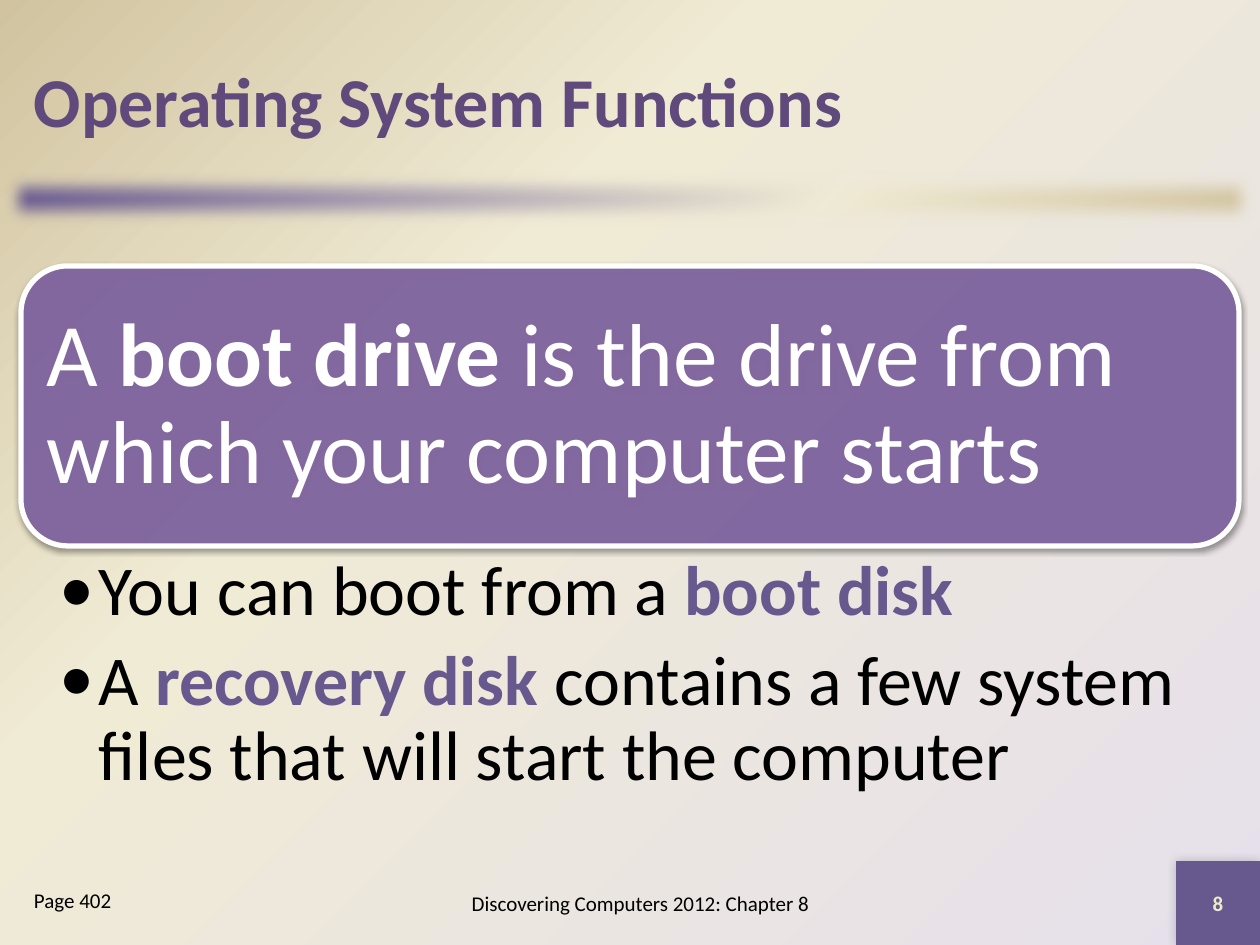
from dataclasses import dataclass

from lxml.etree import SubElement
from pptx import Presentation
from pptx.dml.color import RGBColor
from pptx.enum.shapes import MSO_SHAPE as Kind
from pptx.enum.text import MSO_ANCHOR as Anchor, PP_ALIGN as Align
from pptx.oxml.ns import qn
from pptx.util import Emu, Pt

PX = 914400 / 126
HUES = {
    "bar": "67588E", "cream": "F0EBD5", "sand": "D1C39F", "haze": "E6E0EC",
    "title": "604A7B", "card": "8064A2", "white": "FFFFFF",
    "black": "000000", "number": "EEEBCA",
}


@dataclass
class Box:
    x: int
    y: int
    w: int
    h: int


@dataclass
class Run:
    text: str
    hue: str = "black"
    bold: bool = False


@dataclass
class Label:
    box: Box
    run: Run
    size: int
    anchor: Anchor = Anchor.MIDDLE
    align: Align = Align.LEFT


def px(n: int) -> Emu:
    return Emu(round(n * PX))


def rgb(hue: str) -> RGBColor:
    return RGBColor.from_string(HUES[hue])


def node(root, tag: str, **attrs):
    return SubElement(root, qn(tag), {k: str(v) for k, v in attrs.items()})


def blend(fill, root, first: str):
    """Three-stop gradient; returns its element, ready for a direction."""
    fill.gradient()
    grad = next(root.iter(qn("a:gradFill")))
    for kid in list(grad):
        grad.remove(kid)
    stops = node(grad, "a:gsLst")
    for pos, hue in ((0, first), (65, "cream"), (100, "sand")):
        stop = node(stops, "a:gs", pos=pos * 1000)
        node(stop, "a:srgbClr", val=HUES[hue])
    return grad


def block(slide, kind: Kind, box: Box):
    shape = slide.shapes.add_shape(kind, px(box.x), px(box.y), px(box.w), px(box.h))
    shape.shadow.inherit = False
    shape.line.fill.background()
    return shape


def shade(shape, alpha: int, blur: float, dist: float, angle: int) -> None:
    effects = shape._element.spPr.find(qn("a:effectLst"))
    cast = node(effects, "a:outerShdw", blurRad=Pt(blur), dist=Pt(dist),
                dir=angle * 60000, algn="ctr", rotWithShape=0)
    hue = node(cast, "a:srgbClr", val=HUES["black"])
    node(hue, "a:alpha", val=alpha * 1000)


def frame(shape, anchor: Anchor, pads=(13, 6, 13, 6)):
    text = shape.text_frame
    text.word_wrap = True
    text.vertical_anchor = anchor
    text.margin_left, text.margin_top, text.margin_right, text.margin_bottom = map(px, pads)
    return text


def write(para, runs: list[Run], size: int, align: Align = Align.LEFT) -> None:
    para.alignment = align
    para.font.name, para.font.size = "Calibri", Pt(size)
    if len(runs) == 1:
        para.font.bold, para.font.color.rgb = runs[0].bold, rgb(runs[0].hue)
    for item in runs:
        run = para.add_run()
        run.text = item.text
        if len(runs) > 1:
            run.font.bold, run.font.color.rgb = item.bold, rgb(item.hue)


def bullet(para, indent: int) -> None:
    props = para._p.get_or_add_pPr()
    props.set("marL", str(px(indent)))
    props.set("indent", str(-px(indent)))
    para.line_spacing = 0.9
    para.space_after = Pt(8)
    node(props, "a:buFont", typeface="Calibri")
    node(props, "a:buChar", char="•")


def area(slide, box: Box):
    return slide.shapes.add_textbox(px(box.x), px(box.y), px(box.w), px(box.h))


def main() -> None:
    deck = Presentation()
    deck.slide_width, deck.slide_height = px(1260), px(945)
    slide = deck.slides.add_slide(deck.slide_layouts[6])

    # Background
    grad = blend(slide.background.fill, slide._element, "haze")
    way = node(grad, "a:path", path="circle")
    node(way, "a:fillToRect", l=100000, t=100000)

    # Soft bar under the title
    bar = block(slide, Kind.RECTANGLE, Box(0, 168, 1260, 63))
    grad = blend(bar.fill, bar._element, "bar")
    node(grad, "a:lin", ang=45 * 60000, scaled=0)
    node(bar._element.spPr.find(qn("a:effectLst")), "a:softEdge", rad=Pt(10))

    # Slide number
    tile = block(slide, Kind.RECTANGLE, Box(1176, 861, 84, 84))
    tile.fill.solid()
    tile.fill.fore_color.rgb = rgb("bar")
    shade(tile, 20, 6, 0, 225)
    text = frame(tile, Anchor.MIDDLE)
    write(text.paragraphs[0], [Run("8", "number", True)], 12, Align.CENTER)

    # Card
    card = block(slide, Kind.ROUNDED_RECTANGLE, Box(21, 266, 1218, 280))
    card.fill.solid()
    card.fill.fore_color.rgb = rgb("card")
    node(next(card._element.spPr.iter(qn("a:srgbClr"))), "a:alpha", val=90000)
    card.line.color.rgb = rgb("white")
    card.line.width = Pt(3)
    shade(card, 38, 3.1, 1.6, 90)
    lead = frame(card, Anchor.MIDDLE, (12, 12, 12, 12)).paragraphs[0]
    lead.line_spacing = 0.9
    write(lead, [
        Run("A ", "white"),
        Run("boot drive", "white", True),
        Run(" is the drive from which your computer starts", "white"),
    ], 51)

    # Bullets
    points = [
        [Run("You can boot from a "), Run("boot disk", "bar", True)],
        [Run("A "), Run("recovery disk ", "bar", True),
         Run("contains a few system files that will start the computer")],
    ]
    text = frame(area(slide, Box(21, 546, 1218, 270)), Anchor.TOP, (39, 9, 50, 9))
    for i, runs in enumerate(points):
        para = text.add_paragraph() if i else text.paragraphs[0]
        bullet(para, 39)
        write(para, runs, 40)

    # Title and footer
    labels = [
        Label(Box(21, 21, 1218, 158), Run("Operating System Functions", "title", True), 40),
        Label(Box(378, 872, 525, 63), Run("Discovering Computers 2012: Chapter 8"), 12,
              align=Align.CENTER),
        Label(Box(21, 882, 231, 63), Run("Page 402"), 12, Anchor.TOP),
    ]
    for label in labels:
        text = frame(area(slide, label.box), label.anchor)
        write(text.paragraphs[0], [label.run], label.size, label.align)

    deck.save("out.pptx")


if __name__ == "__main__":
    main()
